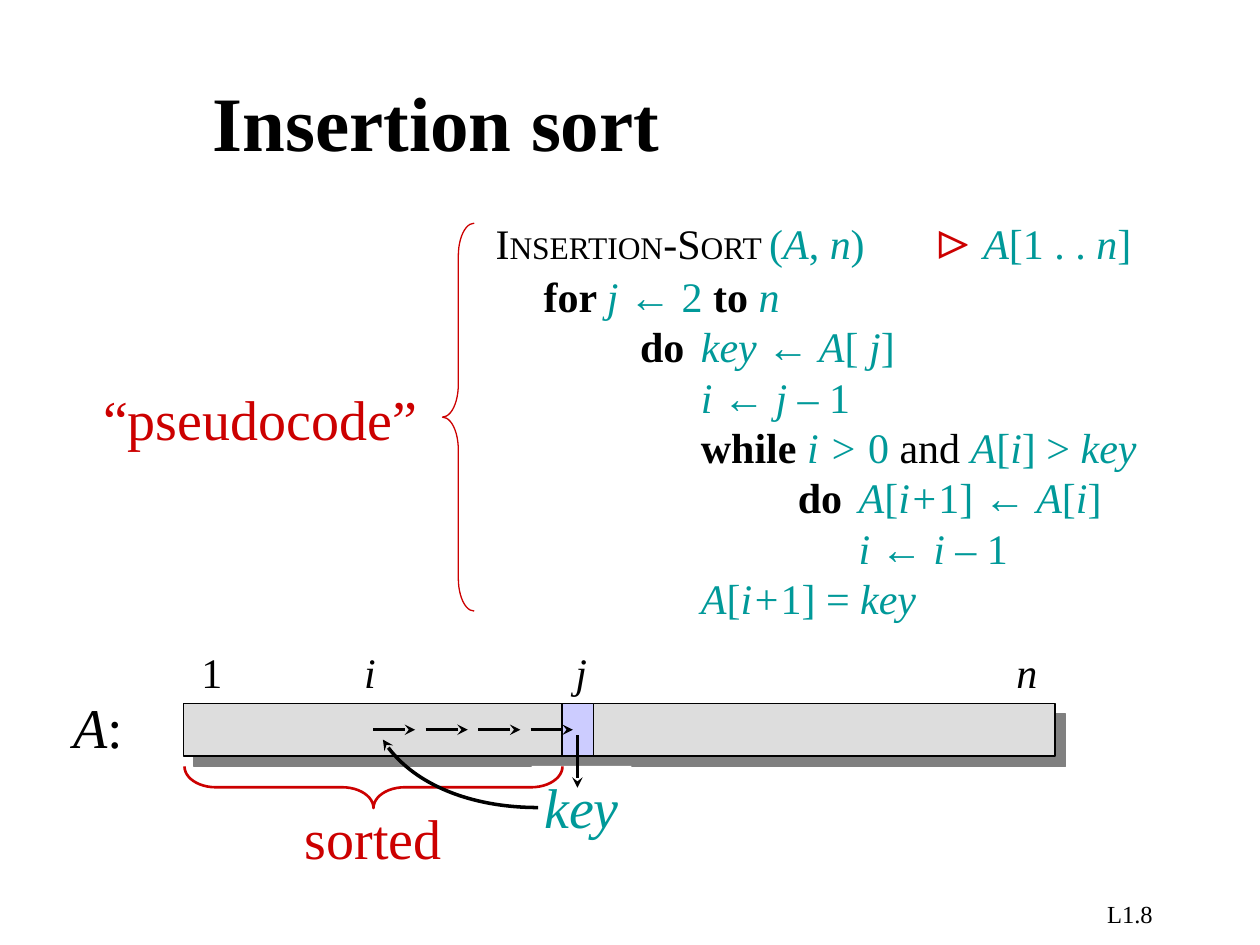
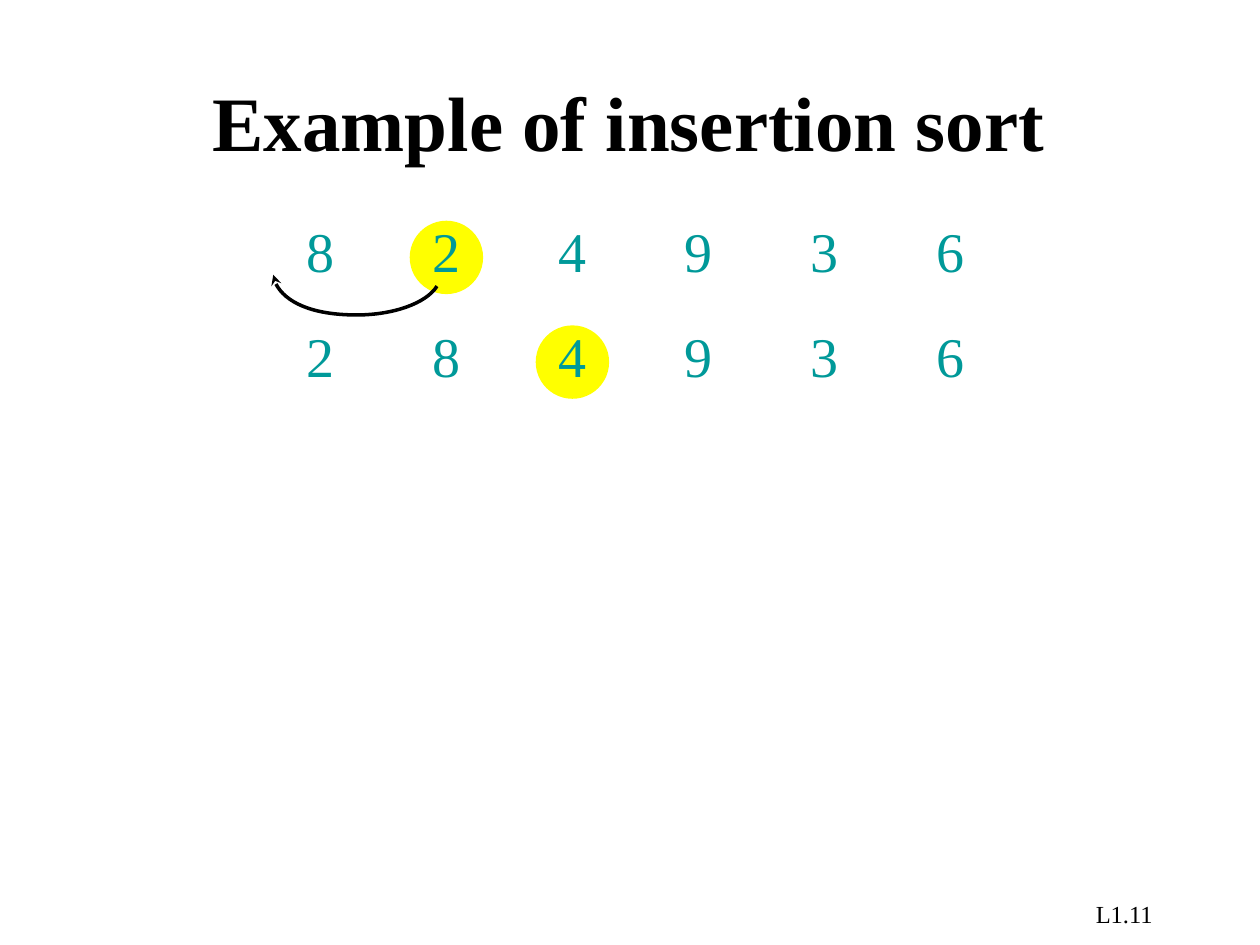
from dataclasses import dataclass
from functools import partial
from typing import NamedTuple

from pptx import Presentation
from pptx import util as u
from pptx.dml.color import RGBColor
from pptx.enum import shapes, text
from pptx.oxml.xmlchemy import OxmlElement

FONT = "Times New Roman"
COLORS = {
    "ink": "000000",
    "teal": "009999",
    "red": "CC0000",
    "bar": "DDDDDD",
    "cell": "CCCCFF",
    "shadow": "808080",
    "paper": "FFFFFF",
    "highlight": "FFFF00",
}
LEFT, CENTER, RIGHT = text.PP_ALIGN.LEFT, text.PP_ALIGN.CENTER, text.PP_ALIGN.RIGHT
CODE_TABS = [(0.97, "l"), (3.81, "r"), (4.14, "l"), (6.99, "r"), (7.32, "l"), (8.89, "l")]


class Span(NamedTuple):
    text: str
    size: float = 24
    color: str = "ink"
    bold: bool = False
    italic: bool = False


class Area(NamedTuple):
    left: float
    top: float
    width: float
    height: float

    def lengths(self) -> list:
        return [u.Cm(value) for value in self]


@dataclass
class Label:
    area: Area
    spans: list
    align: text.PP_ALIGN = LEFT
    fill: str = ""


@dataclass
class NumberRow:
    top: float
    digits: str
    marked: int


keyword = partial(Span, bold=True)
math = partial(Span, color="teal")
variable = partial(math, italic=True)
caption = partial(Span, size=32, color="red")

CODE = [
    [Span("I"), Span("NSERTION", 18), Span("-S"), Span("ORT ", 18), math("("), variable("A"),
     math(", "), variable("n"), math(")\t"), caption("⊳ "), variable("A"), math("[1 . . "),
     variable("n"), math("]")],
    [keyword("\tfor "), variable("j "), math("← 2 "), keyword("to "), variable("n")],
    [keyword("\t\tdo\t"), variable("key ← A"), math("[ "), variable("j"), math("]")],
    [variable("\t\t\ti ← j – "), math("1")],
    [keyword("\t\t\twhile "), variable("i > "), math("0"), Span(" and "), variable("A"),
     math("["), variable("i"), math("] > "), variable("key")],
    [keyword("\t\t\t\tdo\t"), variable("A"), math("["), variable("i+"), math("1] ← "),
     variable("A"), math("["), variable("i"), math("]")],
    [variable("\t\t\t\t\ti ← i – "), math("1")],
    [variable("\t\t\tA"), math("["), variable("i+"), math("1] = "), variable("key")],
]


def rgb(name: str) -> RGBColor:
    return RGBColor.from_string(COLORS[name])


def write(para, content: str, *, size: float = 24, color: str = "ink",
          bold: bool = False, italic: bool = False) -> None:
    span = para.add_run()
    span.text = content
    font = span.font
    font.name, font.size = FONT, u.Pt(size)
    font.bold, font.italic = bold, italic
    font.color.rgb = rgb(color)


def write_spans(para, spans: list) -> None:
    for span in spans:
        options = span._asdict()
        write(para, options.pop("text"), **options)


def add_child(parent, tag: str, **attributes):
    child = OxmlElement(tag)
    for name, value in attributes.items():
        child.set(name, str(value))
    parent.append(child)
    return child


def set_tabs(para, stops: list) -> None:
    tabs = add_child(para._p.get_or_add_pPr(), "a:tabLst")
    for position, align in stops:
        add_child(tabs, "a:tab", pos=u.Cm(position), algn=align)


def add_label(page, label: Label) -> None:
    box = page.shapes.add_textbox(*label.area.lengths())
    if label.fill:
        box.fill.solid()
        box.fill.fore_color.rgb = rgb(label.fill)
    frame = box.text_frame
    frame.word_wrap = False
    frame.auto_size = text.MSO_AUTO_SIZE.SHAPE_TO_FIT_TEXT
    para = frame.paragraphs[0]
    para.alignment = label.align
    write_spans(para, label.spans)


def add_shape(page, kind, area: Area, *, fill: str = "", line: str = "", weight: float = 0.75):
    shape = page.shapes.add_shape(kind, *area.lengths())
    shape.shadow.inherit = False
    if fill:
        shape.fill.solid()
        shape.fill.fore_color.rgb = rgb(fill)
    else:
        shape.fill.background()
    if line:
        shape.line.color.rgb = rgb(line)
        shape.line.width = u.Pt(weight)
    else:
        shape.line.fill.background()
    return shape


def add_brace(page, area: Area, *, bend: float, weight: float, rotation: float = 0) -> None:
    brace = add_shape(page, shapes.MSO_SHAPE.LEFT_BRACE, area, line="red", weight=weight)
    brace.adjustments[0] = bend
    brace.rotation = rotation


def point_arrow(stroke) -> None:
    stroke.line.color.rgb = rgb("ink")
    stroke.line.width = u.Pt(2)
    add_child(stroke.line._get_or_add_ln(), "a:tailEnd", type="stealth")


def add_arrow(page, start: tuple, end: tuple) -> None:
    ends = [u.Cm(value) for value in (*start, *end)]
    arrow = page.shapes.add_connector(shapes.MSO_CONNECTOR.STRAIGHT, *ends)
    point_arrow(arrow)
    add_child(arrow._element.spPr, "a:effectLst")


def add_curve(page, points: list) -> None:
    start, *others = [(u.Cm(x), u.Cm(y)) for x, y in points]
    builder = page.shapes.build_freeform(*start)
    builder.add_line_segments(others, close=False)
    curve = builder.convert_to_shape()
    segments = curve._element.xpath(".//a:lnTo")
    outline = segments[0].getparent()
    for first in range(0, len(segments), 3):
        bezier = add_child(outline, "a:cubicBezTo")
        for segment in segments[first:first + 3]:
            bezier.append(segment[0])
            outline.remove(segment)
    curve.fill.background()
    point_arrow(curve)
    curve.shadow.inherit = False


def add_page(deck, title: str, number: str):
    page = deck.slides.add_slide(deck.slide_layouts[5])
    heading = page.shapes.title
    heading.left, heading.top, heading.width, heading.height = Area(4.03, 0.84, 20.96, 3.18).lengths()
    frame = heading.text_frame
    frame.vertical_anchor = text.MSO_ANCHOR.MIDDLE
    frame.auto_size = text.MSO_AUTO_SIZE.NONE
    frame.paragraphs[0].alignment = LEFT
    write(frame.paragraphs[0], title, size=44, bold=True)
    footer = page.shapes.add_textbox(*Area(18.21, 17.99, 5.28, 0.64).lengths())
    footer.text_frame.word_wrap = True
    para = footer.text_frame.paragraphs[0]
    para.alignment = RIGHT
    write(para, number, size=14)
    return page


def add_code(page) -> None:
    box = page.shapes.add_textbox(*Area(9.74, 3.97, 15.49, 8.74).lengths())
    frame = box.text_frame
    frame.word_wrap = True
    for index, spans in enumerate(CODE):
        para = frame.add_paragraph() if index else frame.paragraphs[0]
        set_tabs(para, CODE_TABS)
        write_spans(para, spans)


def add_array(page) -> None:
    rectangle = shapes.MSO_SHAPE.RECTANGLE
    bar = add_shape(page, rectangle, Area(3.7, 14.18, 17.57, 1.06), fill="bar", line="ink")
    effects = bar._element.spPr.find(".//{*}effectLst")
    shadow = add_child(effects, "a:outerShdw", dist=u.Pt(8.5), dir=45 * 60000, algn="ctr", rotWithShape=0)
    add_child(shadow, "a:srgbClr", val=COLORS["shadow"])
    add_shape(page, rectangle, Area(11.33, 14.18, 0.64, 1.06), fill="cell", line="ink")
    for step in range(4):
        left = 7.52 + 1.06 * step
        add_arrow(page, (left, 14.71), (left + 0.85, 14.71))


def build_algorithm(deck) -> None:
    page = add_page(deck, "Insertion sort", "L1.8")
    add_code(page)
    add_brace(page, Area(8.92, 4.5, 0.64, 7.82), bend=1.03, weight=0.75)
    add_array(page)
    labels = [
        Label(Area(1.83, 7.62, 7, 1.63), [caption("“pseudocode”")]),
        Label(Area(3.81, 12.9, 0.91, 1.27), [Span("1")]),
        Label(Area(7.09, 12.9, 0.74, 1.27), [Span("i", italic=True)]),
        Label(Area(11.35, 12.9, 0.74, 1.27), [Span("j", italic=True)]),
        Label(Area(20.24, 12.9, 0.91, 1.27), [Span("n", italic=True)]),
        Label(Area(1.09, 13.84, 1.8, 1.63), [Span("A", 32, italic=True), Span(":", 32)], CENTER),
        Label(Area(10.72, 15.44, 2.01, 1.63), [variable("key", size=32)], CENTER, "paper"),
        Label(Area(5.89, 16.08, 3.28, 1.63), [caption("sorted")], CENTER),
    ]
    for label in labels:
        add_label(page, label)
    add_arrow(page, (11.64, 14.82), (11.64, 15.88))
    add_brace(page, Area(7.11, 12.06, 0.84, 7.62), bend=0.75, weight=1.5, rotation=270)
    add_curve(page, [(10.85, 16.28), (9.45, 16.28), (8.2, 15.72), (7.72, 14.91)])


def add_number_row(page, row: NumberRow) -> None:
    lefts = [5.92 + 2.54 * column for column in range(len(row.digits))]
    circle = Area(lefts[row.marked] - 0.2, row.top + 0.21, 1.48, 1.48)
    add_shape(page, shapes.MSO_SHAPE.OVAL, circle, fill="highlight")
    for left, digit in zip(lefts, row.digits):
        add_label(page, Label(Area(left, row.top, 1.07, 1.63), [math(digit, size=32)], CENTER))


def build_example(deck) -> None:
    page = add_page(deck, "Example of insertion sort", "L1.11")
    for row in (NumberRow(4.24, "824936", 1), NumberRow(6.35, "284936", 2)):
        add_number_row(page, row)
    add_curve(page, [(8.81, 5.77), (8.59, 6.12), (7.92, 6.35), (7.19, 6.35),
                     (6.27, 6.35), (5.54, 5.99), (5.51, 5.54)])


def main() -> None:
    deck = Presentation()
    deck.slide_width, deck.slide_height = u.Cm(25.4), u.Cm(19.05)
    build_algorithm(deck)
    build_example(deck)
    deck.save("out.pptx")


if __name__ == "__main__":
    main()
